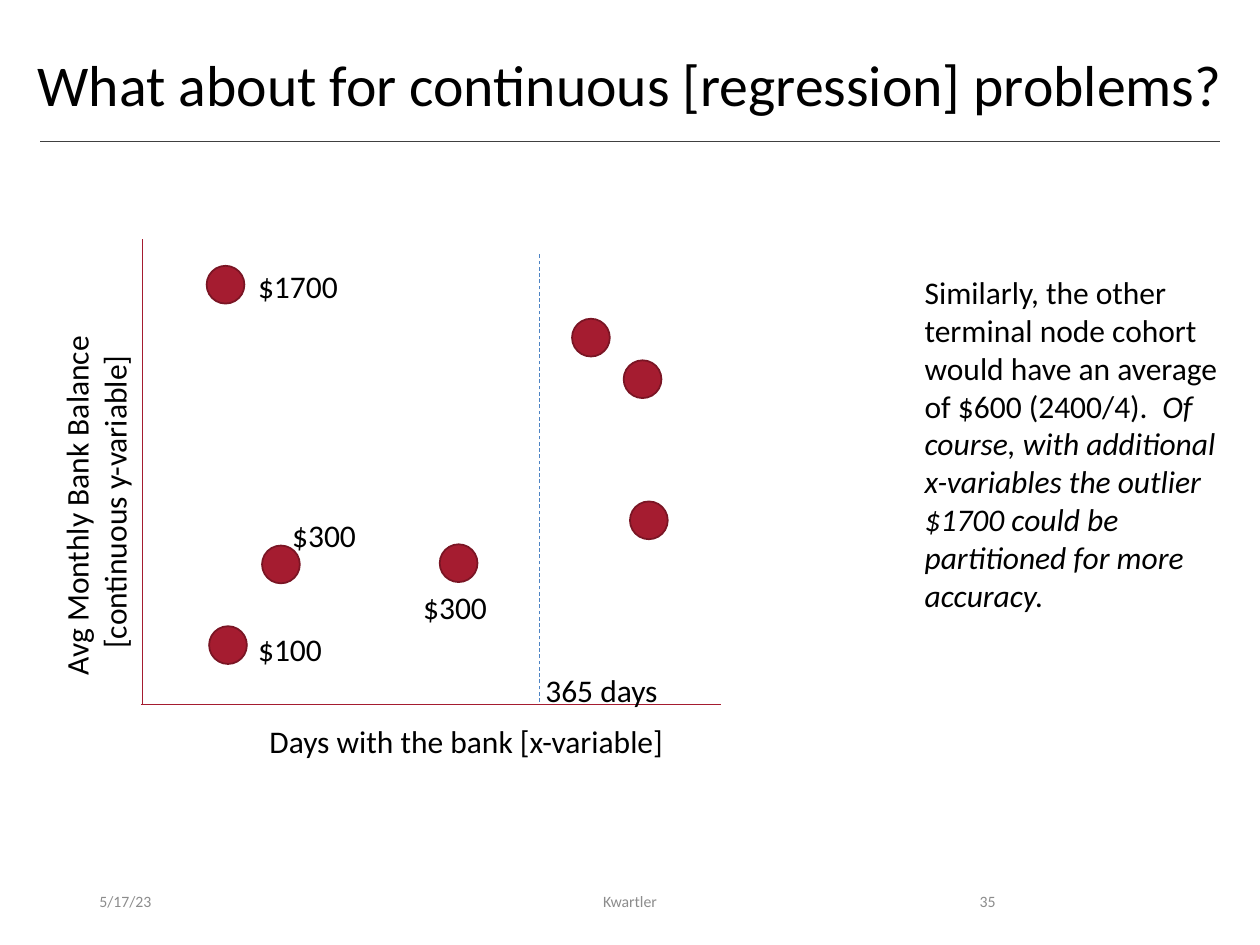
from dataclasses import dataclass

from lxml import etree
from pptx import Presentation
from pptx.dml.color import RGBColor
from pptx.enum.dml import MSO_LINE_DASH_STYLE as Dash
from pptx.enum.shapes import MSO_CONNECTOR as Connector, MSO_SHAPE as Shape
from pptx.enum.text import MSO_ANCHOR as Anchor, MSO_AUTO_SIZE as AutoSize, PP_ALIGN as Align
from pptx.oxml.ns import qn
from pptx.util import Inches, Pt


@dataclass(frozen=True)
class Theme:
    font: str = "Calibri"
    crimson: str = "A51C30"
    dark_crimson: str = "7A1524"
    blue: str = "4E84C4"
    rule: str = "404040"
    text: str = "000000"
    muted: str = "8C8C8C"
    title_size: float = 33
    body_size: float = 18
    footer_size: float = 9
    thin: float = 0.5
    outline: float = 1


class SlideBuilder:
    def __init__(self, slide, theme):
        self.slide = slide
        self.theme = theme

    def text(self, box, paragraphs, size=None, color=None, align=Align.LEFT,
             anchor=Anchor.TOP, wrap=True, rotation=0, line_spacing=None):
        """Each paragraph is a list of (text, italic) runs."""
        shape = self.slide.shapes.add_textbox(*map(Inches, box))
        shape.rotation = rotation
        frame = shape.text_frame
        frame.word_wrap = wrap
        frame.auto_size = AutoSize.NONE if wrap else AutoSize.SHAPE_TO_FIT_TEXT
        frame.vertical_anchor = anchor
        for index, runs in enumerate(paragraphs):
            paragraph = frame.add_paragraph() if index else frame.paragraphs[0]
            paragraph.alignment = align
            if line_spacing:
                paragraph.line_spacing = line_spacing
            font = paragraph.font
            font.name = self.theme.font
            font.size = Pt(size or self.theme.body_size)
            font.color.rgb = RGBColor.from_string(color or self.theme.text)
            for content, italic in runs:
                run = paragraph.add_run()
                run.text = content
                if italic:
                    run.font.italic = True

    def label(self, box, *lines, **style):
        self.text(box, [[(line, False)] for line in lines], wrap=False, **style)

    def footer(self, box, content, align):
        self.text(box, [[(content, False)]], self.theme.footer_size,
                  self.theme.muted, align, Anchor.MIDDLE)

    def line(self, start, end, color, dash=None):
        connector = self.slide.shapes.add_connector(
            Connector.STRAIGHT, *map(Inches, (*start, *end)))
        connector.line.color.rgb = RGBColor.from_string(color)
        connector.line.width = Pt(self.theme.thin)
        if dash:
            connector.line.dash_style = dash
        etree.SubElement(connector._element.spPr, qn("a:effectLst"))

    def dot(self, left, top, diameter=0.3):
        shape = self.slide.shapes.add_shape(
            Shape.OVAL, *map(Inches, (left, top, diameter, diameter)))
        shape.shadow.inherit = False
        shape.fill.solid()
        shape.fill.fore_color.rgb = RGBColor.from_string(self.theme.crimson)
        shape.line.color.rgb = RGBColor.from_string(self.theme.dark_crimson)
        shape.line.width = Pt(self.theme.outline)


CUSTOMERS = [(1.66, 4.97), (2.08, 4.33), (1.64, 2.11), (4.95, 2.86),
             (4.54, 2.53), (3.49, 4.32), (5, 3.98)]
CHART_LABELS = [
    ("Days with the bank [x-variable]", (2.04, 5.68, 3.36, 0.4)),
    ("$100", (1.95, 4.95, 0.71, 0.4)),
    ("$300", (2.22, 4.05, 0.71, 0.4)),
    ("$300", (3.26, 4.62, 0.71, 0.4)),
    ("365 days", (4.23, 5.28, 1.1, 0.4)),
    ("$1700", (1.95, 2.07, 0.84, 0.4)),
]
FOOTERS = [
    ("5/17/23", (0.69, 6.95, 2.25, 0.4), Align.LEFT),
    ("Kwartler", (3.31, 6.95, 3.38, 0.4), Align.CENTER),
    ("35", (7.06, 6.95, 0.94, 0.4), Align.RIGHT),
]
AVERAGE = ("Similarly, the other terminal node cohort would have an average "
           "of $600 (2400/4).  ")
CAVEAT = ("Of course, with additional x-variables the outlier $1700 could be "
          "partitioned for more accuracy.")


def main():
    presentation = Presentation()
    presentation.slide_width, presentation.slide_height = Inches(10), Inches(7.5)
    theme = Theme()
    builder = SlideBuilder(
        presentation.slides.add_slide(presentation.slide_layouts[6]), theme)

    builder.line((0.32, 1.12), (9.68, 1.12), theme.rule)
    builder.text((0.2, 0.4, 9.8, 0.65),
                 [[("What about for continuous [regression] problems?", False)]],
                 theme.title_size, line_spacing=0.9)
    for content, box, align in FOOTERS:
        builder.footer(box, content, align)
    builder.text((7.24, 2.12, 2.72, 2.83), [[(AVERAGE, False), (CAVEAT, True)]])

    builder.line((1.12, 5.59), (5.72, 5.59), theme.crimson)
    builder.line((1.13, 5.59), (1.13, 1.9), theme.crimson)
    for left, top in CUSTOMERS:
        builder.dot(left, top)
    builder.line((4.28, 5.57), (4.28, 2), theme.blue, Dash.DASH)
    builder.label((-0.73, 3.63, 2.98, 0.71), "Avg Monthly Bank Balance ",
                  "[continuous y-variable]", align=Align.CENTER, rotation=270)
    for content, box in CHART_LABELS:
        builder.label(box, content)

    presentation.save("out.pptx")


if __name__ == "__main__":
    main()
